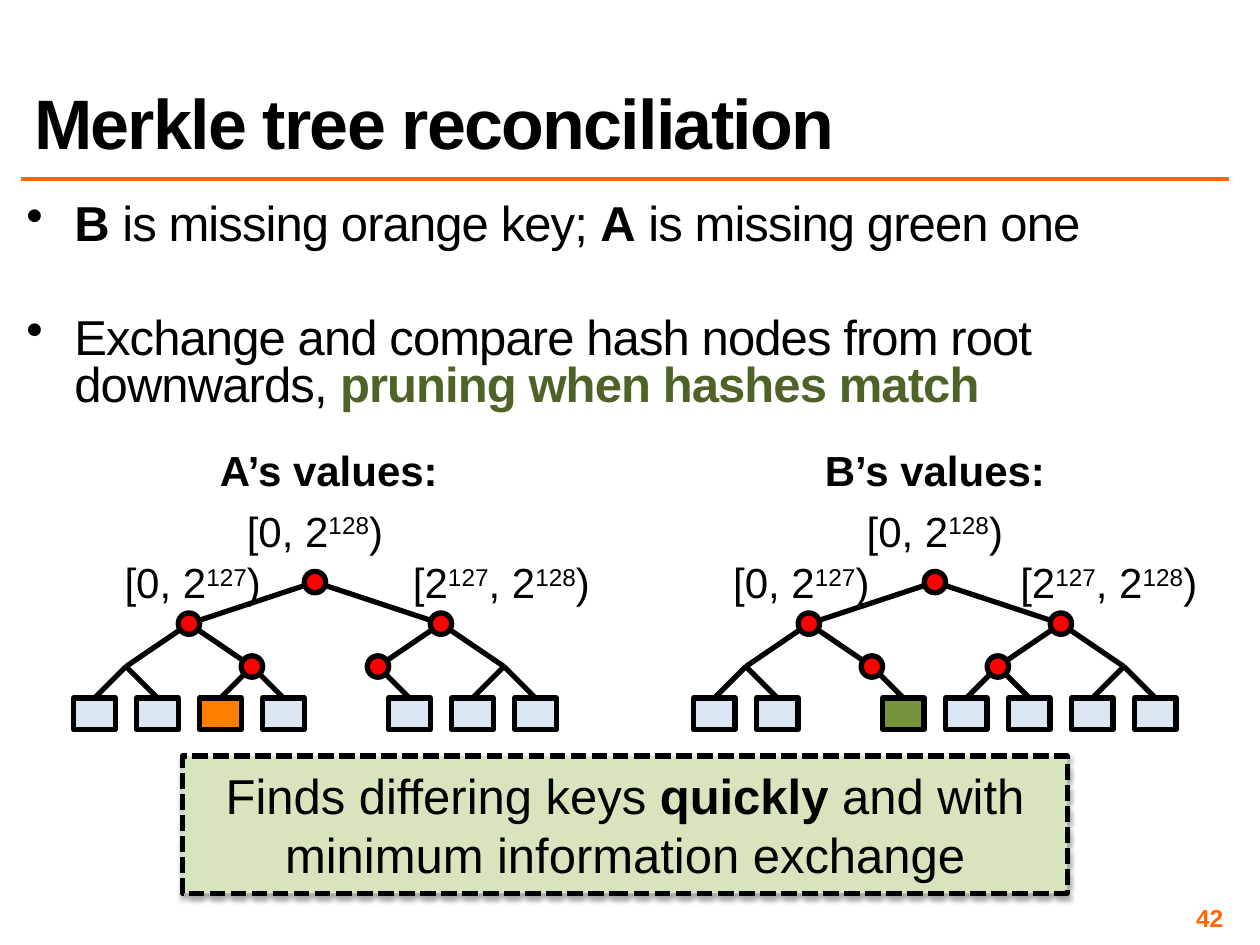
import pptx
import pptx.util
import pptx.dml.color
import pptx.enum.dml
import pptx.enum.shapes
import pptx.enum.text
import pptx.oxml
import pptx.oxml.ns

Inches, Pt = pptx.util.Inches, pptx.util.Pt
ALIGN = pptx.enum.text.PP_ALIGN
ANCHOR = pptx.enum.text.MSO_ANCHOR
SHAPE = pptx.enum.shapes.MSO_SHAPE

COLORS = {
    "black": "000000", "accent": "FF6600", "emphasis": "4F6228",
    "plain": "DCE6F2", "orange": "FF8000", "green": "77933C",
    "hash": "FF0000", "callout": "D7E4BD",
}

# Content: each span is (text, format)
BOLD, SUPER = {"bold": True}, {"raised": True}
TITLE = [("Merkle tree reconciliation", BOLD)]
BULLETS = [
    (5.6, [("B", BOLD), (" is missing orange key; ", {}),
           ("A", BOLD), (" is missing green one", {})]),
    (38, [("Exchange and compare hash nodes from root downwards, ", {}),
          ("pruning when hashes match", {"bold": True, "color": "emphasis"})]),
]
CALLOUT = [("Finds differing keys ", {}), ("quickly", BOLD),
           (" and with minimum information exchange", {})]
PAGE_NUMBER = [("42", BOLD)]

WHOLE_RANGE = [("[0, 2", {}), ("128", SUPER), (")", {})]
LOWER_RANGE = [("[0, 2", {}), ("127", SUPER), (")", {})]
UPPER_RANGE = [("[2", {}), ("127", SUPER), (", 2", {}), ("128", SUPER), (")", {})]

# Trees: centre of the first leaf slot, empty slot, changed key, label centres
TREES = [
    {"heading": "A’s values:", "heading_x": 2.61, "first_leaf": 0.75,
     "missing": 4, "changed": (2, "orange"), "label_x": (2.5, 1.53, 3.98)},
    {"heading": "B’s values:", "heading_x": 7.42, "first_leaf": 5.67,
     "missing": 2, "changed": (3, "green"), "label_x": (7.42, 6.36, 8.8)},
]
LABELS = [(WHOLE_RANGE, 3.96, 1.34), (LOWER_RANGE, 4.37, 1.34),
          (UPPER_RANGE, 4.37, 1.77)]
LEVEL_Y = (5.54, 5.29, 4.95, 4.62)          # leaves up to root
HASH_NODES = [(3, 0), (2, 0), (2, 1), (1, 1), (1, 2)]
LEAF_COUNT, LEAF_STEP, LEAF_WIDTH, LEAF_HEIGHT = 8, 0.5, 0.33, 0.25
NODE_SIZE = 0.17


def rgb(name):
    return pptx.dml.color.RGBColor.from_string(COLORS[name])


def write(para, spans, size=24, color="black", spacing=0, align=ALIGN.LEFT,
          line_spacing=None, before=0):
    para.alignment = align
    para.space_before = Pt(before)
    if line_spacing:
        para.line_spacing = line_spacing
    for text, style in spans:
        span = para.add_run()
        span.text = text
        span.font.name = "Arial"
        span.font.size = Pt(size)
        span.font.bold = style.get("bold", False)
        span.font.color.rgb = rgb(style.get("color", color))
        properties = span.font._element
        if spacing:
            properties.set("spc", str(int(spacing * 100)))
        if style.get("raised"):
            properties.set("baseline", "30000")


def add_box(page, left, top, width, height, wrap=True, inset=None):
    box = page.shapes.add_textbox(Inches(left), Inches(top), Inches(width), Inches(height))
    frame = box.text_frame
    frame.word_wrap = wrap
    if inset is not None:
        frame.margin_left = frame.margin_right = Inches(inset)
        frame.margin_top = frame.margin_bottom = Inches(inset)
    return frame


def add_label(page, spans, center_x, top, width):
    frame = add_box(page, center_x - width / 2, top, width, 0.5, wrap=False)
    write(frame.paragraphs[0], spans, align=ALIGN.CENTER)


def add_solid(page, kind, left, top, width, height, fill):
    solid = page.shapes.add_shape(kind, Inches(left), Inches(top), Inches(width), Inches(height))
    solid.shadow.inherit = False
    solid.fill.solid()
    solid.fill.fore_color.rgb = rgb(fill)
    solid.line.color.rgb = rgb("black")
    solid.line.width = Pt(3)
    return solid


def add_line(page, start, end, color="black", width=3):
    line = page.shapes.add_connector(
        pptx.enum.shapes.MSO_CONNECTOR.STRAIGHT, *map(Inches, start + end))
    line.line.color.rgb = rgb(color)
    line.line.width = Pt(width)
    line._element.spPr.append(pptx.oxml.ns.qn and pptx.oxml.parse_xml(
        f'<a:effectLst {pptx.oxml.ns.nsdecls("a")}/>'))
    return line


def node_center(tree, level, index):
    span = LEAF_STEP * 2 ** level
    return tree["first_leaf"] + (span - LEAF_STEP) / 2 + span * index, LEVEL_Y[level]


def add_tree(page, tree):
    add_label(page, [(tree["heading"], BOLD)], tree["heading_x"], 3.48, 1.97)

    # Leaves
    leaves = {}
    changed, changed_color = tree["changed"]
    for index in range(LEAF_COUNT):
        if index != tree["missing"]:
            x, y = node_center(tree, 0, index)
            fill = changed_color if index == changed else "plain"
            leaves[index] = add_solid(page, SHAPE.RECTANGLE, x - LEAF_WIDTH / 2, y,
                                      LEAF_WIDTH, LEAF_HEIGHT, fill)

    # Branches from each node to its parent
    for level in range(3):
        for index in range(LEAF_COUNT // 2 ** level):
            if level == 0 and index not in leaves:
                continue
            branch = add_line(page, node_center(tree, level, index),
                              node_center(tree, level + 1, index // 2))
            if level == 0:
                branch.begin_connect(leaves[index], 0)

    # Key ranges and hash nodes
    for (spans, top, width), center_x in zip(LABELS, tree["label_x"]):
        add_label(page, spans, center_x, top, width)
    for level, index in HASH_NODES:
        x, y = node_center(tree, level, index)
        add_solid(page, SHAPE.OVAL, x - NODE_SIZE / 2, y - NODE_SIZE / 2,
                  NODE_SIZE, NODE_SIZE, "hash")


def add_callout(page):
    callout = add_solid(page, SHAPE.RECTANGLE, 1.45, 6, 7.02, 1.09, "callout")
    callout.line.dash_style = pptx.enum.dml.MSO_LINE.SQUARE_DOT
    effects = callout._element.spPr.find(pptx.oxml.ns.qn("a:effectLst"))
    effects.append(pptx.oxml.parse_xml(
        f'<a:outerShdw {pptx.oxml.ns.nsdecls("a")} blurRad="{Pt(3.1)}" '
        f'dist="{Pt(1.8)}" dir="5400000" rotWithShape="0">'
        f'<a:srgbClr val="{COLORS["black"]}"><a:alpha val="35000"/></a:srgbClr>'
        '</a:outerShdw>'))
    frame = callout.text_frame
    frame.word_wrap = True
    frame.vertical_anchor = ANCHOR.MIDDLE
    write(frame.paragraphs[0], CALLOUT, size=28, align=ALIGN.CENTER)


def add_bullets(page):
    frame = add_box(page, 0.17, 1.58, 9.58, 1.82, inset=0.04)
    for position, (before, spans) in enumerate(BULLETS):
        para = frame.add_paragraph() if position else frame.paragraphs[0]
        write(para, spans, size=28, spacing=-0.5, line_spacing=0.8, before=before)
        properties = para._element.get_or_add_pPr()
        properties.set("marL", str(Inches(0.38)))
        properties.set("indent", str(-Inches(0.38)))
        properties.append(pptx.oxml.parse_xml(
            f'<a:buChar {pptx.oxml.ns.nsdecls("a")} char="•"/>'))


def main():
    deck = pptx.Presentation()
    deck.slide_width, deck.slide_height = Inches(10), Inches(7.5)
    page = deck.slides.add_slide(deck.slide_layouts[5])

    # Title and rule
    title = page.shapes.title
    title.left, title.top = Inches(0.17), Inches(0.17)
    title.width, title.height = Inches(9.58), Inches(1.17)
    title.text_frame.auto_size = pptx.enum.text.MSO_AUTO_SIZE.NONE
    title.text_frame.vertical_anchor = ANCHOR.BOTTOM
    write(title.text_frame.paragraphs[0], TITLE, size=40, spacing=-1, line_spacing=0.8)
    add_line(page, (0.17, 1.42), (9.75, 1.42), color="accent", width=2)

    add_bullets(page)
    for tree in TREES:
        add_tree(page, tree)
    add_callout(page)

    # Page number
    frame = add_box(page, 7.42, 7.17, 2.33, 0.23, inset=0.04)
    frame.vertical_anchor = ANCHOR.MIDDLE
    write(frame.paragraphs[0], PAGE_NUMBER, size=14, color="accent", align=ALIGN.RIGHT)

    deck.save("out.pptx")


if __name__ == "__main__":
    main()
